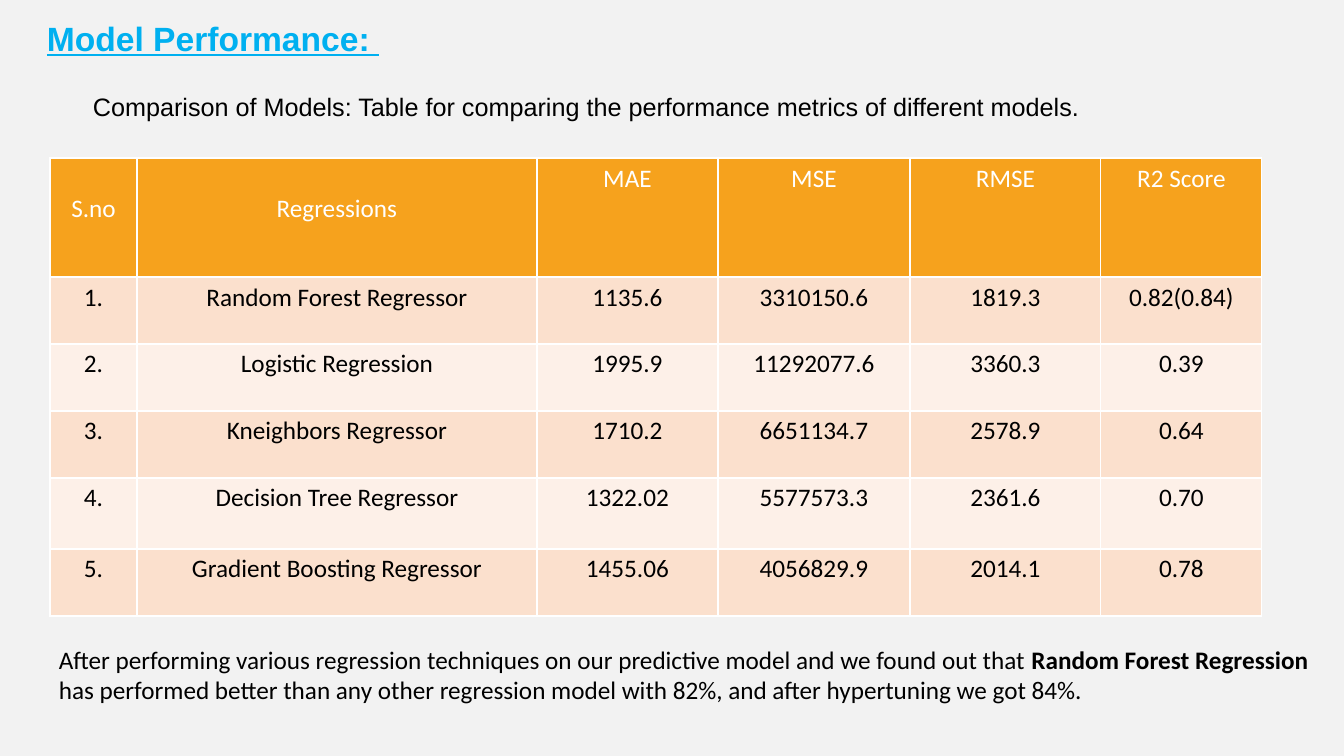
from dataclasses import dataclass

from pptx import Presentation
from pptx.dml.color import RGBColor
from pptx.enum.text import MSO_AUTO_SIZE, PP_ALIGN
from pptx.util import Pt

PX = 914400 / 100.8


@dataclass(frozen=True)
class Theme:
    back: str = "F2F2F2"
    title: str = "00B0F0"
    ink: str = "000000"
    white: str = "FFFFFF"
    head: str = "F6A21D"
    bands: tuple = ("FBE0CD", "FDF0E8")
    sans: str = "Arial"
    body: str = "Calibri"
    big: int = 24
    size: int = 18


THEME = Theme()
HEAD = ["S.no", "Regressions", "MAE", "MSE", "RMSE", "R2 Score"]
MODELS = [
    ["Random Forest Regressor", "1135.6", "3310150.6", "1819.3", "0.82(0.84)"],
    ["Logistic Regression", "1995.9", "11292077.6", "3360.3", "0.39"],
    ["Kneighbors Regressor", "1710.2", "6651134.7", "2578.9", "0.64"],
    ["Decision Tree Regressor", "1322.02", "5577573.3", "2361.6", "0.70"],
    ["Gradient Boosting Regressor", "1455.06", "4056829.9", "2014.1", "0.78"],
]
WIDTHS = [87, 400, 181, 192, 191, 161]
HEIGHTS = [119, 67, 67, 67, 71, 67]


def px(n):
    return round(n * PX)


def write(frame, *runs, font=THEME.body, size=THEME.size, color=THEME.ink,
          bold=(), line=None, align=None, space=None):
    """Fill the frame with one paragraph; bold holds the indexes of bold runs."""
    para = frame.paragraphs[0]
    para.alignment = align
    para.line_spacing = space
    for i, words in enumerate(runs):
        run = para.add_run()
        run.text = words
        run.font.name = font
        run.font.size = Pt(size)
        run.font.color.rgb = RGBColor.from_string(color)
        run.font.bold = i in bold
        run.font.underline = line


def add_text(slide, box, *runs, **form):
    frame = slide.shapes.add_textbox(*map(px, box)).text_frame
    frame.word_wrap = True
    frame.auto_size = MSO_AUTO_SIZE.SHAPE_TO_FIT_TEXT
    write(frame, *runs, **form)


def add_head(slide, box):
    left, top, width, _ = box
    # Title
    add_text(slide, (left, top, 364, 50), "Model Performance: ",
             font=THEME.sans, size=THEME.big, color=THEME.title,
             bold=(0,), line=True)
    # Subtitle
    add_text(slide, (left + 46, top + 58, width - 46, 50),
             "Comparison of Models: Table for comparing the performance "
             "metrics of different models.", font=THEME.sans, space=1.5)


def add_scores(slide, box):
    rows = [HEAD] + [[f"{n}."] + row for n, row in enumerate(MODELS, 1)]
    table = slide.shapes.add_table(len(rows), len(HEAD), *map(px, box)).table
    for col, width in zip(table.columns, WIDTHS):
        col.width = px(width)
    for r, (row, height) in enumerate(zip(rows, HEIGHTS)):
        table.rows[r].height = px(height)
        fill = THEME.bands[(r - 1) % 2] if r else THEME.head
        for c, words in enumerate(row):
            cell = table.cell(r, c)
            cell.fill.solid()
            cell.fill.fore_color.rgb = RGBColor.from_string(fill)
            # The first two headings sit one line lower
            if r == 0 and c < 2:
                cell.margin_top = px(36)
            write(cell.text_frame, words, align=PP_ALIGN.CENTER,
                  color=THEME.ink if r else THEME.white)


def add_note(slide, box):
    add_text(slide, box,
             "After performing various regression techniques on our "
             "predictive model and we found out that ",
             "Random Forest Regression",
             " has performed better than any other regression model with 82%, "
             "and after hypertuning we got 84%.", bold=(1,))


def main():
    deck = Presentation()
    deck.slide_width, deck.slide_height = px(1344), px(756)
    slide = deck.slides.add_slide(deck.slide_layouts[6])
    slide.background.fill.solid()
    slide.background.fill.fore_color.rgb = RGBColor.from_string(THEME.back)
    add_head(slide, (37, 13, 1241, 108))
    add_scores(slide, (50, 158, sum(WIDTHS), sum(HEIGHTS)))
    add_note(slide, (49, 639, 1280, 72))
    deck.save("out.pptx")


if __name__ == "__main__":
    main()
